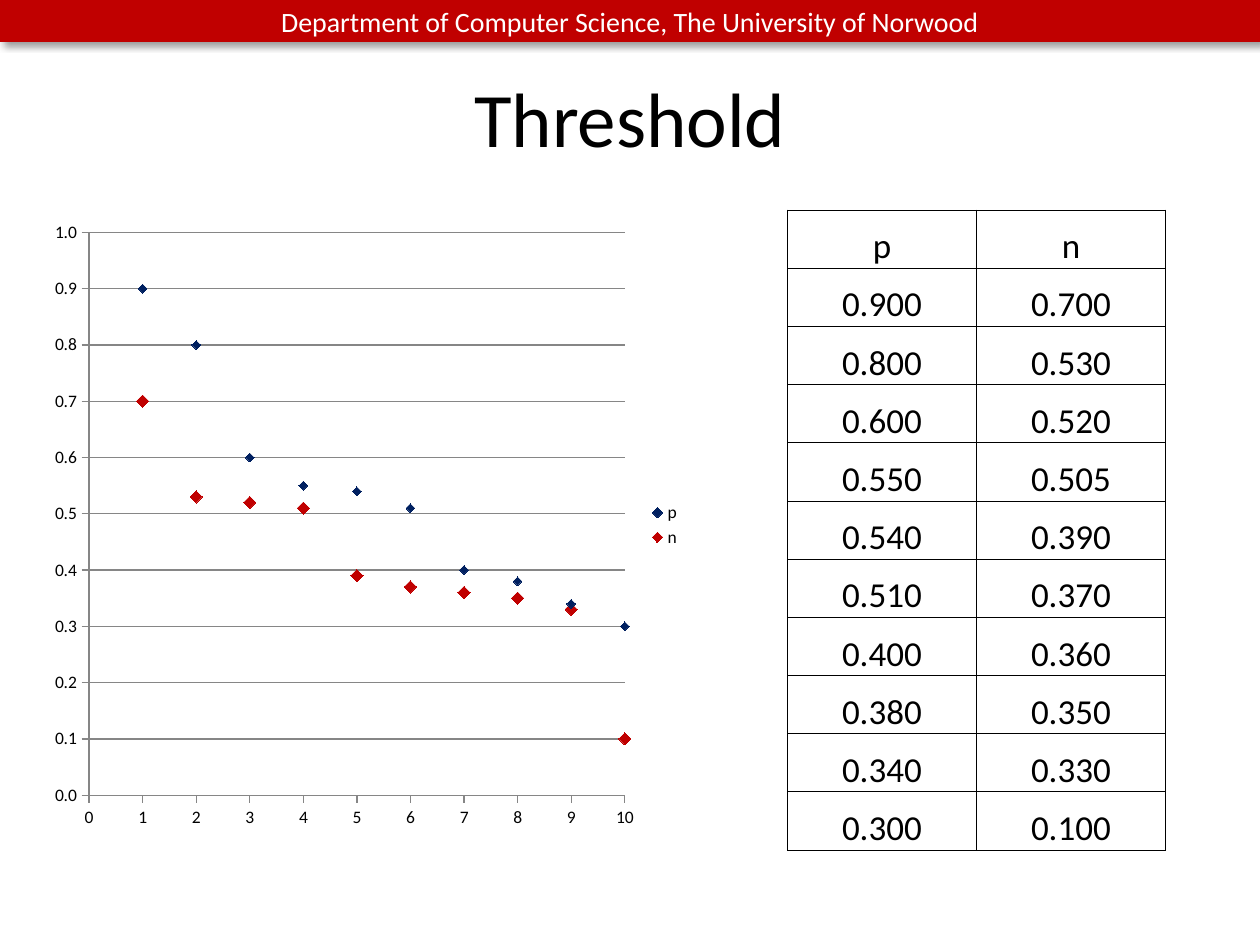
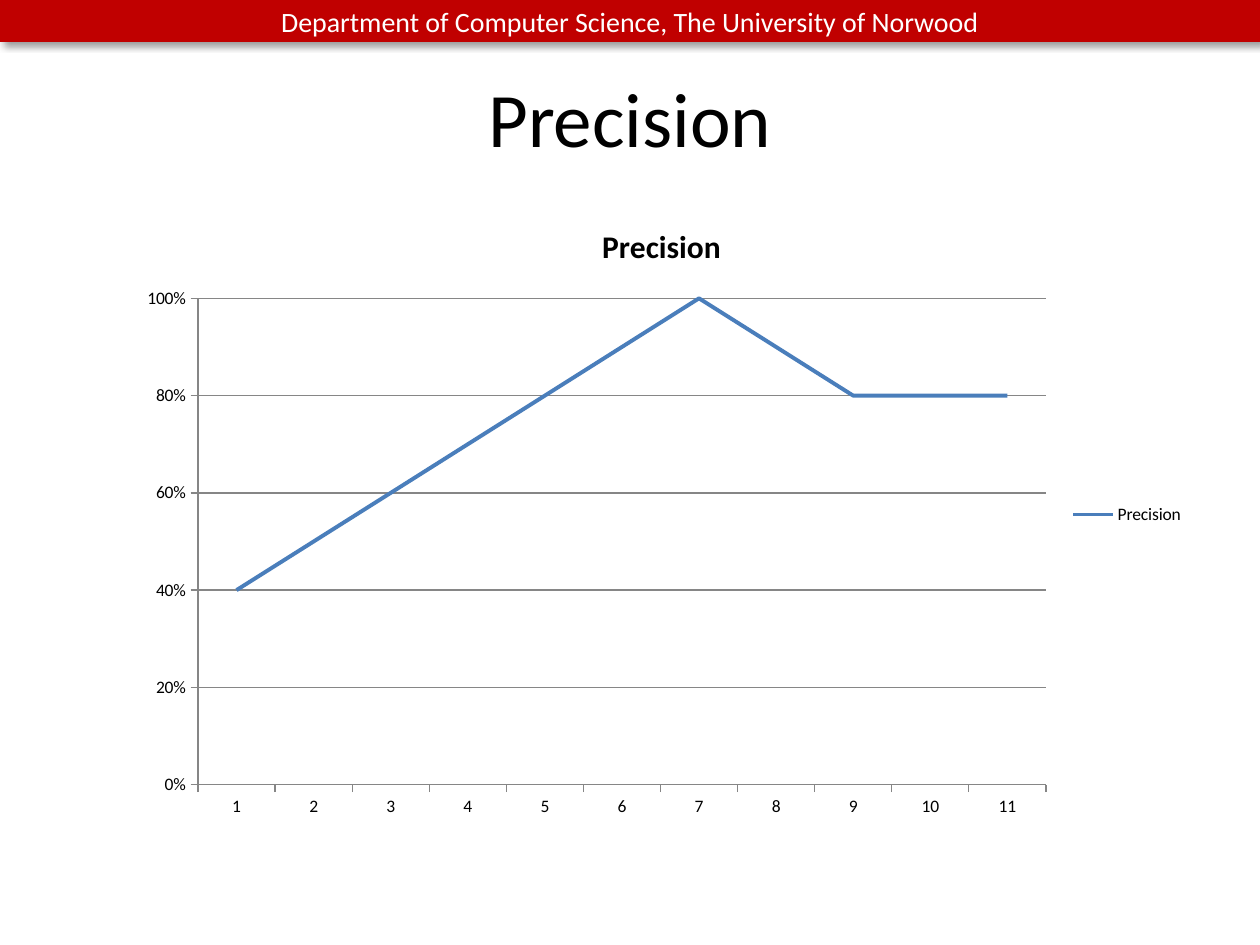
from dataclasses import dataclass

from lxml.etree import SubElement
from pptx import Presentation
from pptx.chart.chart import Chart
from pptx.chart.data import CategoryChartData, XyChartData
from pptx.dml.color import RGBColor
from pptx.dml.line import LineFormat
from pptx.enum.chart import XL_CHART_TYPE, XL_LEGEND_POSITION, XL_MARKER_STYLE, XL_TICK_MARK
from pptx.enum.shapes import MSO_SHAPE
from pptx.enum.text import MSO_ANCHOR, PP_ALIGN
from pptx.oxml import parse_xml
from pptx.oxml.ns import nsdecls, qn
from pptx.slide import Slide
from pptx.text.text import Font, TextFrame
from pptx.util import Pt

FONT = "Calibri"
RED, NAVY, BLUE = "C00000", "002060", "4A7EBB"
BLACK, WHITE, GRID_GRAY = "000000", "FFFFFF", "868686"
DEPARTMENT = "Department of Computer Science, The University of Norwood"


@dataclass(frozen=True)
class Frame:
    left: float
    top: float
    width: float
    height: float

    def lengths(self) -> tuple[Pt, Pt, Pt, Pt]:
        return Pt(self.left), Pt(self.top), Pt(self.width), Pt(self.height)


@dataclass(frozen=True)
class Scores:
    name: str
    values: tuple[float, ...]
    color: str
    marker_size: int


BAND = Frame(0, 0, 720, 24)
TITLE = Frame(36, 21.6, 648, 90)
SCORE_TABLE = Frame(450, 120, 216, 366)
SCORE_CHART = Frame(24, 120, 372, 360)
PRECISION_CHART = Frame(72, 114, 612, 360)

SCORES = (
    Scores("p", (0.9, 0.8, 0.6, 0.55, 0.54, 0.51, 0.4, 0.38, 0.34, 0.3), NAVY, 5),
    Scores("n", (0.7, 0.53, 0.52, 0.505, 0.39, 0.37, 0.36, 0.35, 0.33, 0.1), RED, 7),
)
PRECISION = (0.4, 0.5, 0.6, 0.7, 0.8, 0.9, 1, 0.9, 0.8, 0.8, 0.8)


def rgb(color: str) -> RGBColor:
    return RGBColor.from_string(color)


def set_font(font: Font, size: float, color: str = BLACK, bold: bool = False) -> None:
    font.name = FONT
    font.size = Pt(size)
    font.bold = bold
    font.color.rgb = rgb(color)


def set_line(line: LineFormat, color: str, width: float) -> None:
    line.color.rgb = rgb(color)
    line.width = Pt(width)


def write_centered(text_frame: TextFrame, text: str, size: float, color: str = BLACK) -> None:
    text_frame.text = text
    paragraph = text_frame.paragraphs[0]
    paragraph.alignment = PP_ALIGN.CENTER
    set_font(paragraph.font, size, color)


def add_band(slide: Slide) -> None:
    band = slide.shapes.add_shape(MSO_SHAPE.RECTANGLE, *BAND.lengths())
    band.fill.solid()
    band.fill.fore_color.rgb = rgb(RED)
    band.line.fill.background()
    band.shadow.inherit = False
    effects = band._element.spPr.find(qn("a:effectLst"))
    shadow = SubElement(effects, qn("a:outerShdw"), blurRad=str(Pt(4)), dist=str(Pt(3)),
                        dir="2700000", algn="tl", rotWithShape="0")
    shade = SubElement(shadow, qn("a:srgbClr"), val=BLACK)
    SubElement(shade, qn("a:alpha"), val="40000")
    band.text_frame.vertical_anchor = MSO_ANCHOR.MIDDLE
    write_centered(band.text_frame, DEPARTMENT, 16, WHITE)


def add_titled_slide(deck: Presentation, title: str) -> Slide:
    slide = deck.slides.add_slide(deck.slide_layouts[6])
    add_band(slide)
    heading = slide.shapes.add_textbox(*TITLE.lengths()).text_frame
    heading.word_wrap = True
    heading.vertical_anchor = MSO_ANCHOR.MIDDLE
    write_centered(heading, title, 44)
    return slide


def add_score_table(slide: Slide) -> None:
    header = tuple(scores.name for scores in SCORES)
    body = zip(*(scores.values for scores in SCORES))
    rows = [header] + [tuple(f"{value:.3f}" for value in row) for row in body]
    table = slide.shapes.add_table(len(rows), len(header), *SCORE_TABLE.lengths()).table
    table.first_row = False
    table.horz_banding = False
    for row, texts in zip(table.rows, rows):
        row.height = Pt(SCORE_TABLE.height / len(rows))
        for cell, text in zip(row.cells, texts):
            cell.margin_left = cell.margin_right = cell.margin_top = cell.margin_bottom = 0
            cell.vertical_anchor = MSO_ANCHOR.BOTTOM
            cell.fill.background()
            write_centered(cell.text_frame, text, 20)
            properties = cell._tc.get_or_add_tcPr()
            for position, side in enumerate("LRTB"):
                border = parse_xml(
                    f'<a:ln{side} {nsdecls("a")} w="{Pt(0.5)}"><a:solidFill>'
                    f'<a:srgbClr val="{BLACK}"/></a:solidFill></a:ln{side}>')
                properties.insert(position, border)


def style_chart(chart: Chart, number_format: str, step: float) -> None:
    set_font(chart.font, 10)
    chart.has_legend = True
    chart.legend.position = XL_LEGEND_POSITION.RIGHT
    chart.legend.include_in_layout = False
    value_axis = chart.value_axis
    for axis in (chart.category_axis, value_axis):
        axis.has_major_gridlines = False
        axis.major_tick_mark = XL_TICK_MARK.OUTSIDE
        axis.minor_tick_mark = XL_TICK_MARK.NONE
        set_line(axis.format.line, GRID_GRAY, 0.75)
    value_axis.has_major_gridlines = True
    set_line(value_axis.major_gridlines.format.line, GRID_GRAY, 0.75)
    value_axis.minimum_scale, value_axis.maximum_scale = 0, 1
    value_axis.major_unit = step
    value_axis.tick_labels.number_format = number_format
    value_axis.tick_labels.number_format_is_linked = False


def add_score_chart(slide: Slide) -> None:
    data = XyChartData()
    for scores in SCORES:
        points = data.add_series(scores.name)
        for rank, value in enumerate(scores.values, start=1):
            points.add_data_point(rank, round(value, 2))
    chart = slide.shapes.add_chart(XL_CHART_TYPE.XY_SCATTER, *SCORE_CHART.lengths(), data).chart
    chart.has_title = False
    style_chart(chart, "0.0", 0.1)
    ranks = chart.category_axis
    ranks.minimum_scale, ranks.maximum_scale, ranks.major_unit = 0, 10, 1
    ranks.tick_labels.number_format = "0"
    ranks.tick_labels.number_format_is_linked = False
    for series, scores in zip(chart.plots[0].series, SCORES):
        series.format.line.fill.background()
        marker = series.marker
        marker.style = XL_MARKER_STYLE.DIAMOND
        marker.size = scores.marker_size
        marker.format.fill.solid()
        marker.format.fill.fore_color.rgb = rgb(scores.color)
        marker.format.line.color.rgb = rgb(scores.color)


def add_precision_chart(slide: Slide) -> None:
    data = CategoryChartData()
    data.categories = [str(rank) for rank in range(1, len(PRECISION) + 1)]
    data.add_series("Precision", PRECISION)
    chart = slide.shapes.add_chart(XL_CHART_TYPE.LINE, *PRECISION_CHART.lengths(), data).chart
    chart.has_title = True
    caption = chart.chart_title.text_frame
    caption.text = "Precision"
    set_font(caption.paragraphs[0].font, 18, bold=True)
    style_chart(chart, "0%", 0.2)
    chart.plots[0].vary_by_categories = False
    precision = chart.plots[0].series[0]
    precision.smooth = False
    precision.marker.style = XL_MARKER_STYLE.NONE
    set_line(precision.format.line, BLUE, 2.25)


def main() -> None:
    deck = Presentation()
    deck.slide_width, deck.slide_height = Pt(720), Pt(540)
    threshold = add_titled_slide(deck, "Threshold")
    add_score_table(threshold)
    add_score_chart(threshold)
    add_precision_chart(add_titled_slide(deck, "Precision"))
    deck.save("out.pptx")


if __name__ == "__main__":
    main()
